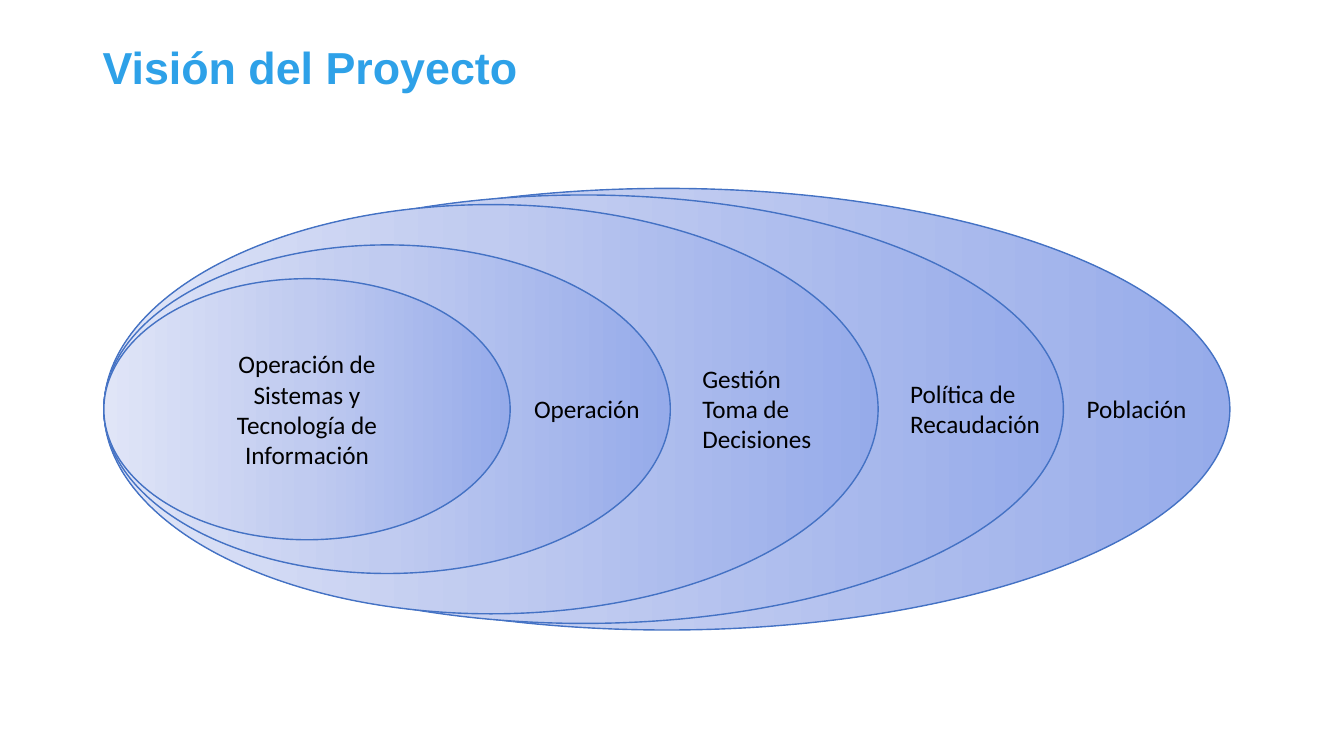
from lxml import etree
from pptx import Presentation
from pptx.dml.color import RGBColor
from pptx.enum.shapes import MSO_SHAPE
from pptx.enum.text import MSO_ANCHOR, PP_ALIGN
from pptx.oxml.ns import qn
from pptx.util import Pt

OVAL = MSO_SHAPE.OVAL
MIDDLE = MSO_ANCHOR.MIDDLE
TOP = MSO_ANCHOR.TOP
LEFT = PP_ALIGN.LEFT
CENTER = PP_ALIGN.CENTER

SKY = RGBColor(0x2E, 0xA1, 0xE8)
BLACK = RGBColor(0x00, 0x00, 0x00)
OUTLINE = RGBColor(0x44, 0x72, 0xC4)
DEEP = RGBColor(0x96, 0xAB, 0xEA)
MEDIUM = RGBColor(0xC0, 0xCB, 0xF0)
PALE = RGBColor(0xE0, 0xE5, 0xF7)

LAYERS_LEFT = 74.2
LAYERS_MIDDLE = 292.3
LAYERS = [(804.3, 315.4), (685.4, 306), (553, 292.3), (404.6, 234.7)]
CORE = (290.2, 186.5)
CORE_LINES = ["Operación de", "Sistemas y", "Tecnología de Información"]
LABELS = [
    (374.4, 90.7, 29.1, ["Operación"], False),
    (494.6, 115.9, 72.7, ["Gestión", "Toma de Decisiones"], True),
    (643, 115.9, 50.9, ["Política de", "Recaudación"], True),
    (769, 115.9, 29.1, ["Población"], True),
]


class VisionSlide:
    title_font = {"name": "Arial", "size": Pt(32), "bold": True}
    body_font = {"name": "Calibri", "size": Pt(18), "bold": False}
    stops = {0: DEEP, 50: MEDIUM, 100: PALE}

    def __init__(self, slide):
        self.shapes = slide.shapes

    def set_text(self, frame, lines, font, color, align=LEFT, anchor=TOP, wrap=True):
        frame.word_wrap = wrap
        frame.vertical_anchor = anchor
        for index, line in enumerate(lines):
            paragraph = frame.add_paragraph() if index else frame.paragraphs[0]
            paragraph.alignment = align
            run = paragraph.add_run()
            run.text = line
            for attribute, value in font.items():
                setattr(run.font, attribute, value)
            run.font.color.rgb = color

    def title(self, text, left, top, width, height):
        box = self.shapes.add_textbox(Pt(left), Pt(top), Pt(width), Pt(height))
        self.set_text(box.text_frame, [text], self.title_font, SKY, anchor=MIDDLE)
        box.text_frame.paragraphs[0].line_spacing = 0.9

    def label(self, left, middle, width, height, lines, wrap):
        box = self.shapes.add_textbox(
            Pt(left), Pt(middle - height / 2), Pt(width), Pt(height))
        self.set_text(box.text_frame, lines, self.body_font, BLACK, wrap=wrap)

    def layer(self, left, middle, width, height, lines=()):
        oval = self.shapes.add_shape(
            OVAL, Pt(left), Pt(middle - height / 2), Pt(width), Pt(height))
        oval.shadow.inherit = False
        oval.line.color.rgb = OUTLINE
        oval.line.width = Pt(1)
        self.shade(oval)
        self.set_text(oval.text_frame, lines, self.body_font, BLACK, CENTER, MIDDLE)

    def shade(self, oval):
        oval.fill.gradient()
        oval.fill.gradient_angle = 180
        stop_list = next(oval.element.iter(qn("a:gsLst")))
        for stop in list(stop_list):
            stop_list.remove(stop)
        for percent, color in self.stops.items():
            stop = etree.SubElement(stop_list, qn("a:gs"), pos=str(percent * 1000))
            etree.SubElement(stop, qn("a:srgbClr"), val=str(color))


def main():
    deck = Presentation()
    deck.slide_width = Pt(960)
    deck.slide_height = Pt(540)
    vision = VisionSlide(deck.slides.add_slide(deck.slide_layouts[6]))

    vision.title("Visión del Proyecto", 66.2, 27.4, 708.5, 45.4)
    for width, height in LAYERS:
        vision.layer(LAYERS_LEFT, LAYERS_MIDDLE, width, height)
    vision.layer(LAYERS_LEFT, LAYERS_MIDDLE, *CORE, CORE_LINES)
    for left, width, height, lines, wrap in LABELS:
        vision.label(left, LAYERS_MIDDLE, width, height, lines, wrap)

    deck.save("out.pptx")


if __name__ == "__main__":
    main()
